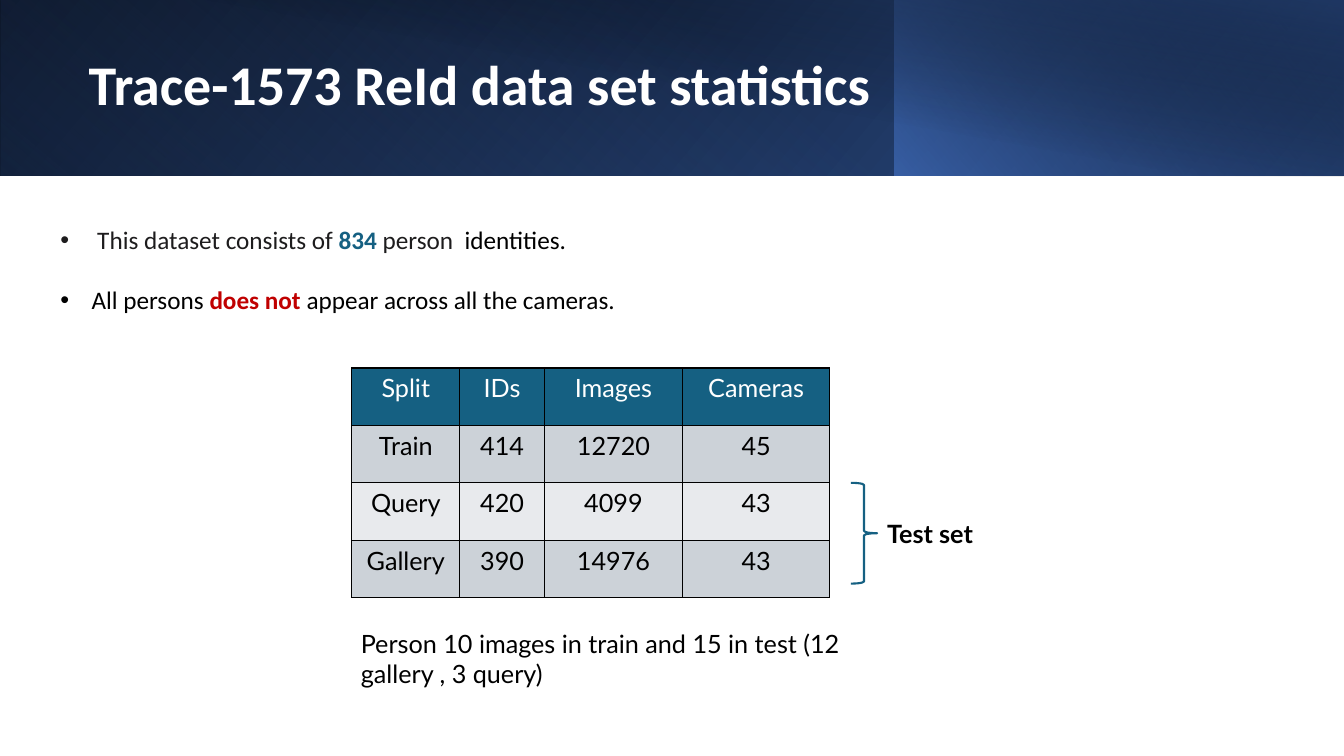
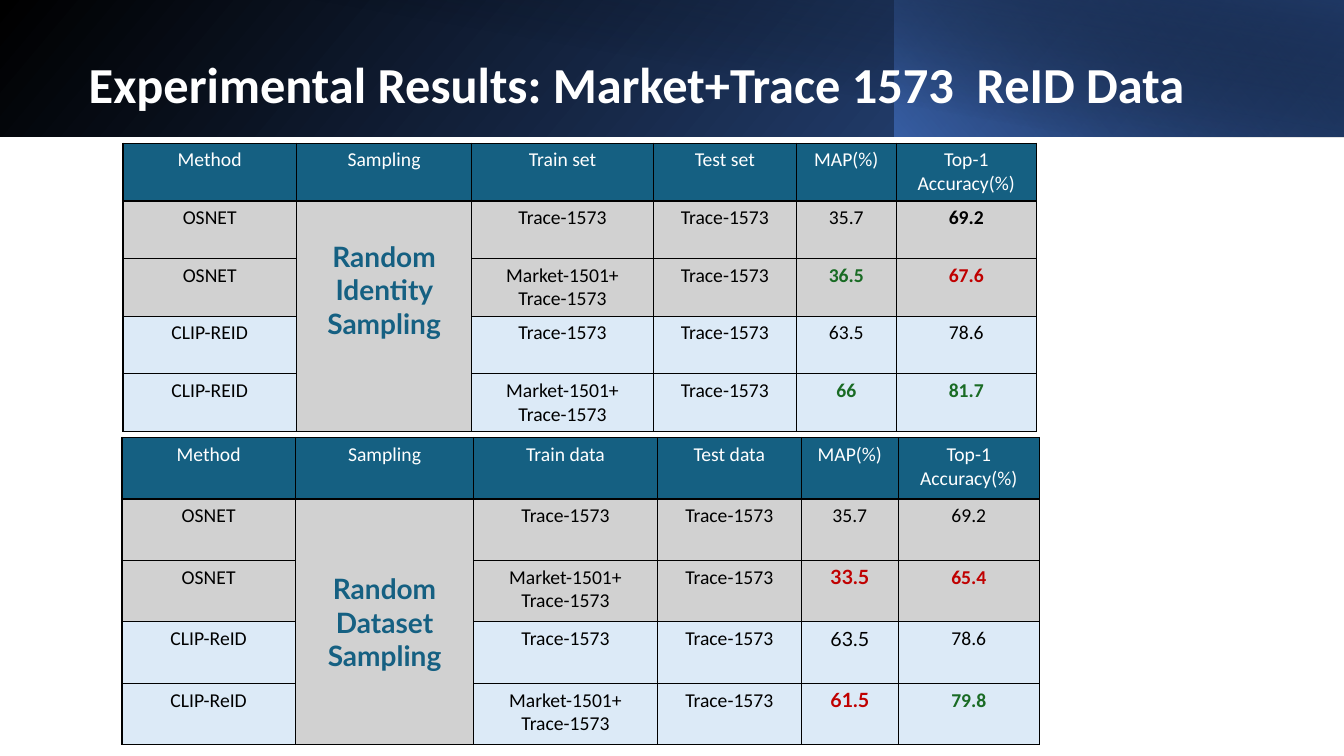
from dataclasses import dataclass

from lxml.etree import SubElement
from pptx import Presentation
from pptx.dml.color import RGBColor
from pptx.enum.shapes import MSO_SHAPE
from pptx.enum.text import MSO_ANCHOR, MSO_AUTO_SIZE, PP_ALIGN
from pptx.oxml.ns import qn
from pptx.slide import Slide
from pptx.table import Table, _Cell as Cell
from pptx.text.text import TextFrame, _Paragraph as Paragraph
from pptx.util import Inches, Pt

COLORS = {
    "black": "000000",
    "white": "FFFFFF",
    "ink": "1D1C1D",
    "teal": "156082",
    "red": "C00000",
    "green": "196B24",
    "navy": "1F3864",
    "blue": "2F5496",
    "bright": "4472C4",
    "gray": "D1D1D1",
    "sky": "DCEAF7",
    "slate": "CCD2D8",
    "mist": "E8EAED",
}


@dataclass(frozen=True)
class Stop:
    position: int
    color: str
    opacity: int = 100


@dataclass(frozen=True)
class Band:
    left: float
    width: float
    angle: int
    stops: tuple[Stop, ...]
    flipped: bool = True
    rotation: int = 0
    extra_height: float = 0


@dataclass(frozen=True)
class Phrase:
    text: str
    color: str = "black"
    bold: bool = False
    font: str = "Calibri"


@dataclass(frozen=True)
class Grid:
    left: float
    top: float
    widths: tuple[float, ...]
    row_height: float
    fills: tuple[str, ...]
    rows: tuple[tuple[str | Phrase, ...], ...]
    size: int
    font: str


BASE_BAND = Band(0, 13.33, 140, (Stop(0, "black"), Stop(100, "blue")))
LEFT_BAND = Band(0, 8.88, 230,
                 (Stop(0, "bright", 0), Stop(20, "bright", 0), Stop(100, "navy", 54)),
                 rotation=180)
RIGHT_BAND = Band(8.87, 4.46, 220, (Stop(0, "bright", 65), Stop(100, "black", 29)))
TOP_BAND = Band(0.5, 12.83, 280,
                (Stop(0, "black", 0), Stop(50, "black", 0),
                 Stop(99, "navy", 51), Stop(100, "navy", 51)),
                flipped=False, extra_height=0.01)


def rgb(name: str) -> RGBColor:
    return RGBColor.from_string(COLORS[name])


def add_text(paragraph: Paragraph, text: str, *, size: int, font: str = "Calibri",
             color: str = "black", bold: bool = False) -> None:
    run = paragraph.add_run()
    run.text = text
    run.font.size = Pt(size)
    run.font.name = font
    run.font.bold = bold
    run.font.color.rgb = rgb(color)


def add_frame(slide: Slide, left: float, top: float, width: float,
              height: float) -> TextFrame:
    frame = slide.shapes.add_textbox(
        Inches(left), Inches(top), Inches(width), Inches(height)).text_frame
    frame.word_wrap = True
    return frame


def draw_band(slide: Slide, band: Band, height: float) -> None:
    shape = slide.shapes.add_shape(
        MSO_SHAPE.RECTANGLE, Inches(band.left), Inches(0),
        Inches(band.width), Inches(height + band.extra_height))
    shape.rotation = band.rotation
    properties = shape._element.spPr
    if band.flipped:
        properties.find(qn("a:xfrm")).set("flipH", "1")
    gradient = SubElement(properties, qn("a:gradFill"), rotWithShape="1")
    stop_list = SubElement(gradient, qn("a:gsLst"))
    for stop in band.stops:
        mark = SubElement(stop_list, qn("a:gs"), pos=str(stop.position * 1000))
        tint = SubElement(mark, qn("a:srgbClr"), val=COLORS[stop.color])
        if stop.opacity < 100:
            SubElement(tint, qn("a:alpha"), val=str(stop.opacity * 1000))
    SubElement(gradient, qn("a:lin"), ang=str(band.angle * 60000), scaled="0")
    shape.line.fill.background()
    shape.shadow.inherit = False


def add_titled_slide(deck: Presentation, text: str, size: int, title_width: float,
                     bands: tuple[Band, ...], band_height: float) -> Slide:
    slide = deck.slides.add_slide(deck.slide_layouts[5])
    for band in bands:
        draw_band(slide, band, band_height)
    title = slide.shapes.title
    slide.shapes._spTree.append(title._element)
    title.left, title.top = Inches(0.78), Inches(0.43)
    title.width, title.height = Inches(title_width), Inches(0.87)
    frame = title.text_frame
    frame.auto_size = MSO_AUTO_SIZE.NONE
    frame.vertical_anchor = MSO_ANCHOR.MIDDLE
    heading = frame.paragraphs[0]
    heading.alignment = PP_ALIGN.LEFT
    heading.line_spacing = 0.9
    add_text(heading, text, size=size, color="white", bold=True)
    return slide


def add_bullet(paragraph: Paragraph, phrases: tuple[Phrase, ...]) -> None:
    properties = paragraph._p.get_or_add_pPr()
    properties.set("marL", str(Inches(0.31)))
    properties.set("indent", str(-Inches(0.31)))
    SubElement(properties, qn("a:buFont"), typeface="Arial")
    SubElement(properties, qn("a:buChar"), char="•")
    for phrase in phrases:
        add_text(paragraph, phrase.text, size=18, color=phrase.color, bold=phrase.bold)


def format_cell(cell: Cell, fill: str) -> None:
    properties = cell._tc.get_or_add_tcPr()
    for side in ("a:lnL", "a:lnR", "a:lnT", "a:lnB"):
        border = SubElement(properties, qn(side), w=str(Pt(1)))
        paint = SubElement(border, qn("a:solidFill"))
        SubElement(paint, qn("a:srgbClr"), val=COLORS["black"])
    cell.fill.solid()
    cell.fill.fore_color.rgb = rgb(fill)


def write_cell(cell: Cell, phrase: Phrase, size: int) -> None:
    frame = cell.text_frame
    for index, line in enumerate(phrase.text.split("\n")):
        paragraph = frame.add_paragraph() if index else frame.paragraphs[0]
        paragraph.alignment = PP_ALIGN.CENTER
        add_text(paragraph, line, size=size, font=phrase.font,
                 color=phrase.color, bold=phrase.bold)


def draw_grid(slide: Slide, grid: Grid) -> Table:
    table = slide.shapes.add_table(
        len(grid.rows), len(grid.widths), Inches(grid.left), Inches(grid.top),
        Inches(sum(grid.widths)), Inches(grid.row_height * len(grid.rows))).table
    table.first_row = table.horz_banding = False
    for column, width in zip(table.columns, grid.widths):
        column.width = Inches(width)
    for row_index, (values, fill) in enumerate(zip(grid.rows, grid.fills)):
        table.rows[row_index].height = Inches(grid.row_height)
        for column_index, value in enumerate(values):
            cell = table.cell(row_index, column_index)
            format_cell(cell, fill)
            if isinstance(value, str):
                color = "black" if row_index else "white"
                value = Phrase(value, color, font=grid.font)
            if value.text:
                write_cell(cell, value, grid.size)
    return table


def draw_results(slide: Slide, left: float, top: float, widths: tuple[float, ...],
                 row_height: float, noun: str, clip_name: str, sampling: str,
                 sampling_offset: float,
                 scores: tuple[tuple[str | Phrase, str | Phrase], ...]) -> None:
    header = ("Method", "Sampling", f"Train {noun}", f"Test {noun}",
              "MAP(%)", "Top-1 Accuracy(%)")
    methods = ("OSNET", "OSNET", clip_name, clip_name)
    train_sets = ("Trace-1573", "Market-1501+\nTrace-1573") * 2
    body = tuple((method, "", train, "Trace-1573", *score)
                 for method, train, score in zip(methods, train_sets, scores))
    table = draw_grid(slide, Grid(
        left, top, widths, row_height, ("teal", "gray", "gray", "sky", "sky"),
        (header, *body), 14, "Calibri"))
    strategy = table.cell(1, 1)
    strategy.merge(table.cell(4, 1))
    strategy.margin_top = Inches(sampling_offset)
    write_cell(strategy, Phrase(sampling, "teal", True, "Lato"), 20)


def build_statistics(deck: Presentation) -> None:
    slide = add_titled_slide(deck, "Trace-1573 ReId data set statistics", 40, 8.5,
                             (BASE_BAND, LEFT_BAND, RIGHT_BAND, TOP_BAND), 1.74)
    facts = add_frame(slide, 0.5, 2.18, 12.18, 1)
    add_bullet(facts.paragraphs[0], (
        Phrase(" This dataset consists of ", "ink"), Phrase("834 ", "teal", True),
        Phrase("person  ", "ink"), Phrase("identities.")))
    cameras = facts.add_paragraph()
    cameras.space_before = Pt(21)
    add_bullet(cameras, (
        Phrase("All persons "), Phrase("does not", "red", True),
        Phrase(" appear across all the cameras.")))
    draw_grid(slide, Grid(
        3.49, 3.65, (1.07, 0.84, 1.37, 1.46), 0.57,
        ("teal", "slate", "mist", "slate"),
        (("Split", "IDs", "Images", "Cameras"),
         ("Train", "414", "12720", "45"),
         ("Query", "420", "4099", "43"),
         ("Gallery", "390", "14976", "43")), 18, "Lato"))
    brace = slide.shapes.add_shape(MSO_SHAPE.RIGHT_BRACE, Inches(8.44), Inches(4.79),
                                   Inches(0.26), Inches(1))
    brace.fill.background()
    brace.line.color.rgb = rgb("teal")
    brace.line.width = Pt(1.5)
    brace.shadow.inherit = False
    test_label = add_frame(slide, 8.7, 5.09, 2.03, 0.4)
    add_text(test_label.paragraphs[0], "Test set", size=18, font="Lato", bold=True)
    split_note = add_frame(slide, 3.48, 6.18, 4.95, 0.71)
    add_text(split_note.paragraphs[0],
             "Person 10 images in train and 15 in test (12 gallery , 3 query)",
             size=18, font="Lato")


def build_experiments(deck: Presentation) -> None:
    slide = add_titled_slide(deck, "Experimental Results: Market+Trace 1573  ReID Data",
                             36, 11.29, (BASE_BAND, RIGHT_BAND, TOP_BAND), 1.36)
    draw_results(
        slide, 1.22, 1.42, (1.72, 1.74, 1.8, 1.42, 0.99, 1.39), 0.57,
        "set", "CLIP-REID", "Random Identity Sampling", 0.38,
        (("35.7", Phrase("69.2", bold=True)),
         (Phrase("36.5", "green", True), Phrase("67.6", "red", True)),
         ("63.5", "78.6"),
         (Phrase("66", "green", True), Phrase("81.7", "green", True))))
    draw_results(
        slide, 1.21, 4.34, (1.72, 1.77, 1.82, 1.43, 0.96, 1.4), 0.61,
        "data", "CLIP-ReID", "Random Dataset Sampling", 0.72,
        (("35.7", "69.2"),
         (Phrase("33.5", "red", True, "Lato"), Phrase("65.4", "red", True)),
         (Phrase("63.5", font="Lato"), "78.6"),
         (Phrase("61.5", "red", True, "Lato"), Phrase("79.8", "green", True))))


def main() -> None:
    deck = Presentation()
    deck.slide_width, deck.slide_height = Inches(13.33), Inches(7.5)
    build_statistics(deck)
    build_experiments(deck)
    deck.save("out.pptx")


if __name__ == "__main__":
    main()
